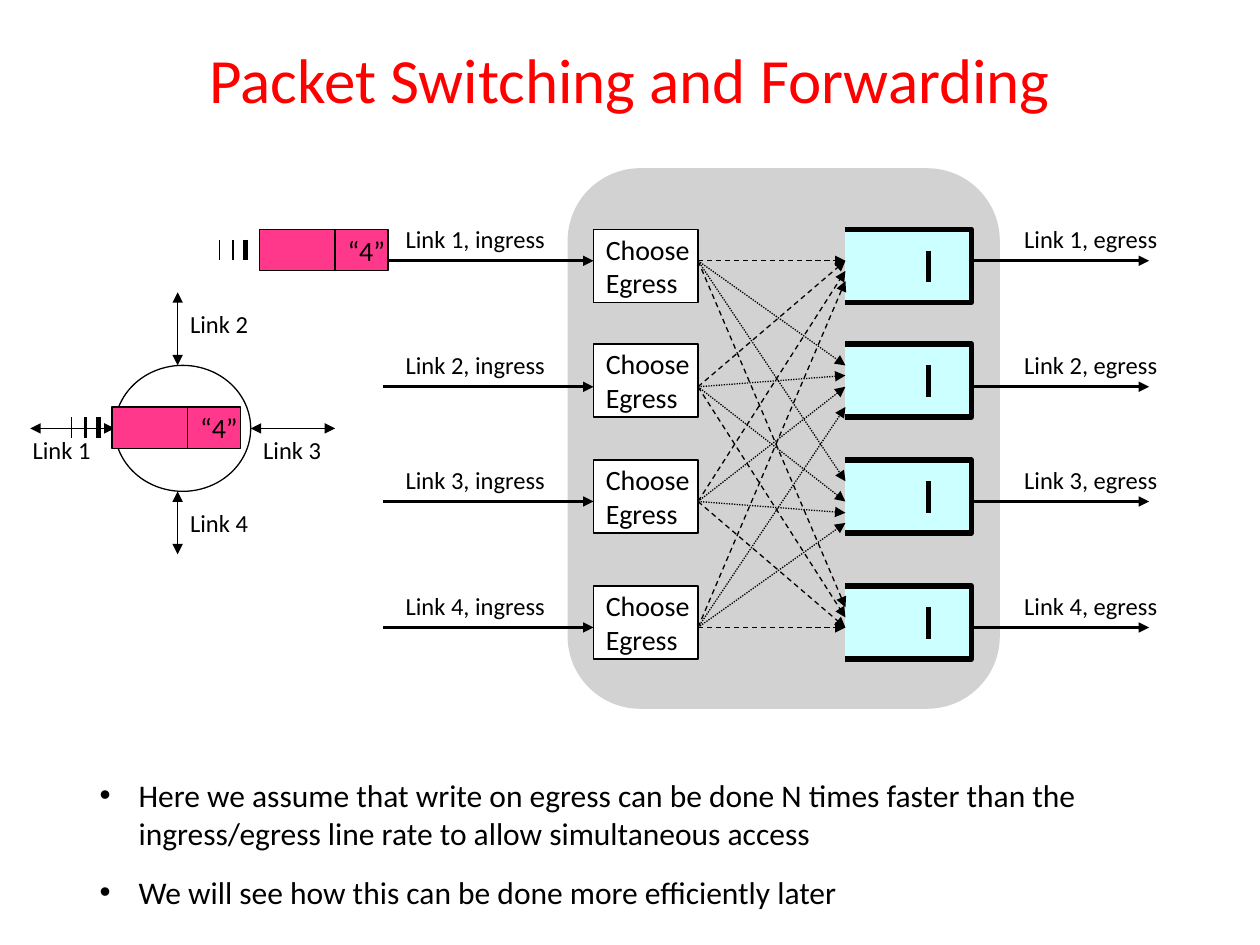
from lxml import etree
from pptx import Presentation
from pptx.dml.color import RGBColor
from pptx.enum.dml import MSO_LINE
from pptx.enum.shapes import MSO_CONNECTOR, MSO_SHAPE
from pptx.enum.text import MSO_ANCHOR, MSO_AUTO_SIZE, PP_ALIGN
from pptx.oxml.ns import qn
from pptx.util import Inches, Pt

RECT, ROUND, OVAL = MSO_SHAPE.RECTANGLE, MSO_SHAPE.ROUNDED_RECTANGLE, MSO_SHAPE.OVAL
STRAIGHT = MSO_CONNECTOR.STRAIGHT
DASH, DOT = MSO_LINE.DASH, MSO_LINE.ROUND_DOT
LEFT, CENTER = PP_ALIGN.LEFT, PP_ALIGN.CENTER
TOP, MIDDLE = MSO_ANCHOR.TOP, MSO_ANCHOR.MIDDLE
NO_FIT, GROW = MSO_AUTO_SIZE.NONE, MSO_AUTO_SIZE.SHAPE_TO_FIT_TEXT

BLACK = RGBColor(0x00, 0x00, 0x00)
WHITE = RGBColor(0xFF, 0xFF, 0xFF)
RED = RGBColor(0xFF, 0x00, 0x00)
GRAY = RGBColor(0xD2, 0xD2, 0xD2)
PINK = RGBColor(0xFF, 0x38, 0x8C)
CYAN = RGBColor(0xCC, 0xFF, 0xFF)

TITLE = "Packet Switching and Forwarding"
NOTES = [
    "Here we assume that write on egress can be done N times faster than the "
    "ingress/egress line rate to allow simultaneous access",
    "We will see how this can be done more efficiently later",
]
LANES = [2.07, 3.07, 3.98, 4.98]
BOXES = [1.82, 2.73, 3.65, 4.65]
SHIFTS = [
    [0, 0, 0.08, 0.16],
    [-0.17, -0.09, 0, 0.16],
    [-0.16, 0, 0.09, 0.17],
    [-0.16, -0.08, 0, 0],
]


def write(frame, lines, size, color=BLACK, align=LEFT, **form):
    for name, value in form.items():
        setattr(frame, name, value)
    frame.text = "\n".join(lines)
    for para in frame.paragraphs:
        para.alignment = align
        for name, value in {"name": "Calibri", "size": Pt(size)}.items():
            setattr(para.font, name, value)
        para.font.color.rgb = color


def paint(shape, fill, edge=BLACK, width=0.75):
    shape.shadow.inherit = False
    shape.fill.solid()
    shape.fill.fore_color.rgb = fill
    shape.line.color.rgb = edge
    shape.line.width = Pt(width)


def block(shapes, kind, box, fill, edge=BLACK, lines=()):
    shape = shapes.add_shape(kind, *map(Inches, box))
    paint(shape, fill, edge)
    if lines:
        write(shape.text_frame, lines, 16, word_wrap=False, vertical_anchor=MIDDLE)
    return shape


def stroke(shapes, start, end, width=0.75, dash=None, ends=()):
    line = shapes.add_connector(STRAIGHT, *map(Inches, (*start, *end)))
    line.line.color.rgb = BLACK
    line.line.width = Pt(width)
    if dash:
        line.line.dash_style = dash
    props = line._element.spPr
    for end_tag in ends:
        etree.SubElement(props.find(qn("a:ln")), qn(end_tag), type="triangle")
    etree.SubElement(props, qn("a:effectLst"))


def label(shapes, box, text):
    area = shapes.add_textbox(*map(Inches, box))
    write(area.text_frame, [text], 14, word_wrap=False, auto_size=GROW)


def router(shapes, box):
    x, y, w, h = box
    block(shapes, OVAL, box, WHITE)
    mid, hub = y + h / 2, x + 0.5
    spokes = [
        ((x - 0.67, mid), (x, mid), (x - 0.75, mid)),
        ((hub, y - 0.58), (hub, y), (hub, y - 0.5)),
        ((x + w, mid), (x + w + 0.67, mid), (x + w, mid)),
        ((hub, y + h), (hub, y + h + 0.5), (hub, y + h + 0.08)),
    ]
    for n, (start, end, spot) in enumerate(spokes, 1):
        stroke(shapes, start, end, ends=("a:headEnd", "a:tailEnd"))
        label(shapes, (*spot, 0.69, 0.34), f"Link {n}")


def links(shapes, box, side, text_x, text_w):
    x, y, w, h = box
    for n, lane in enumerate(LANES, 1):
        stroke(shapes, (x, lane), (x + w, lane), 1.5, ends=("a:tailEnd",))
        label(shapes, (text_x, lane - 0.34, text_w, 0.34), f"Link {n}, {side}")


def queue(shapes, box):
    x, y, w, h = box
    group = shapes.add_group_shape().shapes
    pen = group.build_freeform(Inches(x), Inches(y))
    corners = [(x + w, y), (x + w, y + h), (x, y + h)]
    pen.add_line_segments([(Inches(a), Inches(b)) for a, b in corners], close=False)
    paint(pen.convert_to_shape(), CYAN, width=3)
    stroke(group, (x + 0.66, y + 0.17), (x + 0.66, y + 0.42), 3)


def mesh(shapes, box):
    x, y, w, h = box
    for lane, shifts, dash in zip(LANES, SHIFTS, (DASH, DOT, DOT, DASH)):
        for start, shift in zip(LANES, shifts):
            stroke(shapes, (x, start), (x + w, lane + shift), 0.75, dash, ("a:tailEnd",))


def switch(shapes, box):
    x, y, w, h = box
    panel = block(shapes, ROUND, box, GRAY, GRAY)
    panel.adjustments[0] = 0.167
    links(shapes, (x - 1.47, y, 1.67, h), "ingress", x - 1.39, 1.31)
    links(shapes, (x + 2.95, y, 1.66, h), "egress", x + 3.52, 1.26)
    for top in BOXES:
        queue(shapes, (x + 2.2, top, 1, 0.58))
    mesh(shapes, (x + 1.03, y, 1.17, h))
    for top in BOXES:
        block(shapes, RECT, (x + 0.2, top, 0.83, 0.58), WHITE, lines=["Choose", "Egress"])


def packet(shapes, box):
    x, y, w, h = box
    group = shapes.add_group_shape().shapes
    block(group, RECT, (x, y, 0.6, h), PINK)
    for gap, width in ((0.11, 3), (0.21, 1.5), (0.32, 0.75)):
        stroke(group, (x - gap, y + h / 4), (x - gap, y + h * 3 / 4), width)
    block(group, RECT, (x + 0.6, y, w - 0.6, h), PINK, lines=["“4”"])


def place(shape, box):
    for name, value in zip(("left", "top", "width", "height"), box):
        setattr(shape, name, Inches(value))


def header(shape, box):
    place(shape, box)
    write(shape.text_frame, [TITLE], 36, RED, CENTER,
          auto_size=NO_FIT, vertical_anchor=MIDDLE)


def notes(shape, box):
    place(shape, box)
    frame = shape.text_frame
    write(frame, NOTES, 18, auto_size=NO_FIT, vertical_anchor=TOP, word_wrap=True)
    for para, gap in zip(frame.paragraphs, (0, 12)):
        para.space_before = Pt(gap)
        props = para._p.get_or_add_pPr()
        props.set("marL", str(Inches(0.31)))
        props.set("indent", str(Inches(-0.31)))


def main():
    deck = Presentation()
    deck.slide_width, deck.slide_height = Inches(10), Inches(7.5)
    slide = deck.slides.add_slide(deck.slide_layouts[1])
    shapes = slide.shapes
    header(shapes.title, (0, 0, 10, 1.25))
    notes(slide.placeholders[1], (0.69, 6.11, 8.52, 1.18))
    router(shapes, (0.91, 2.9, 1.08, 1))
    switch(shapes, (4.51, 1.34, 3.42, 4.28))
    for spot in ((0.89, 3.23), (2.06, 1.82)):
        packet(shapes, (*spot, 1.02, 0.33))
    deck.save("out.pptx")


if __name__ == "__main__":
    main()
